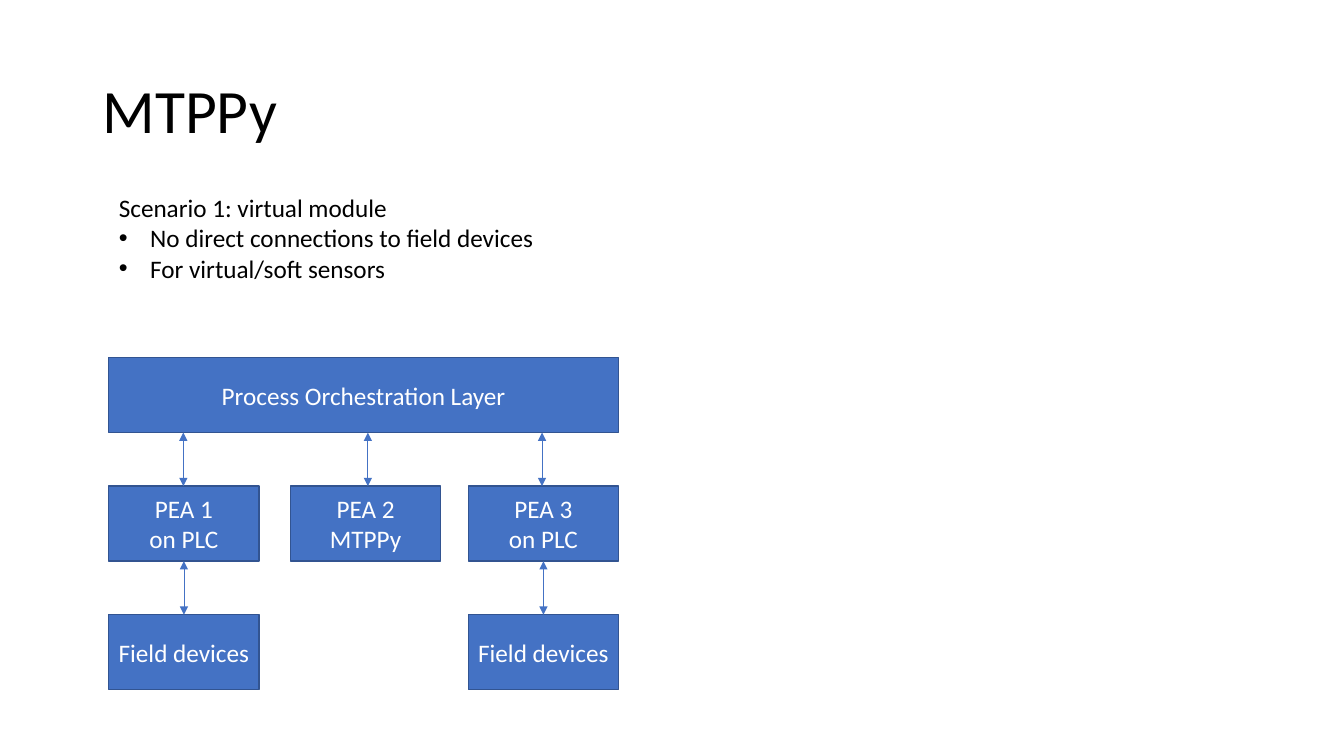
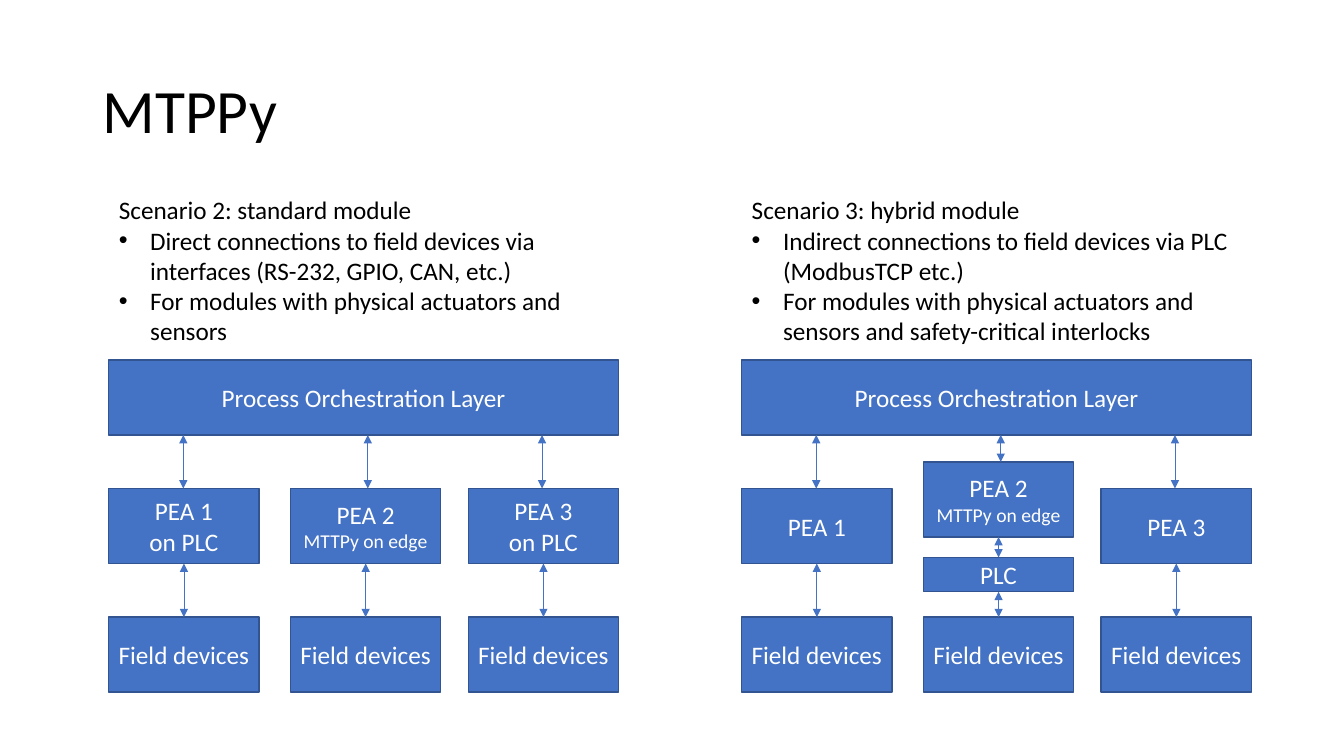
from dataclasses import dataclass

from pptx import Presentation
from pptx.dml.color import RGBColor
from pptx.enum.shapes import MSO_CONNECTOR, MSO_SHAPE
from pptx.enum.text import MSO_ANCHOR, MSO_AUTO_SIZE, PP_ALIGN
from pptx.oxml.ns import qn
from pptx.util import Cm, Pt
from lxml import etree

RECTANGLE = MSO_SHAPE.RECTANGLE
STRAIGHT = MSO_CONNECTOR.STRAIGHT
MIDDLE = MSO_ANCHOR.MIDDLE
TOP = MSO_ANCHOR.TOP
NO_FIT = MSO_AUTO_SIZE.NONE
LEFT = PP_ALIGN.LEFT
CENTER = PP_ALIGN.CENTER
TOP_SITE, BOTTOM_SITE = 0, 2
ONE_CONTENT, TWO_CONTENT = 1, 3


@dataclass(frozen=True)
class Theme:
    font: str = "Calibri"
    ink: RGBColor = RGBColor(0x00, 0x00, 0x00)
    paper: RGBColor = RGBColor(0xFF, 0xFF, 0xFF)
    accent: RGBColor = RGBColor(0x44, 0x72, 0xC4)
    outline: RGBColor = RGBColor(0x32, 0x54, 0x91)
    title_size: int = 44
    text_size: int = 18
    small_size: int = 14
    outline_width: float = 1
    arrow_width: float = 0.5


@dataclass(frozen=True)
class Node:
    lines: tuple
    offset: float
    height: float = 1.89


@dataclass(frozen=True)
class Scenario:
    heading: str
    points: tuple
    columns: tuple
    text_height: float


THEME = Theme()
PANEL_WIDTH = 12.85
PANEL_LEFTS = (2.74, 18.69)
LAYER_DROP = 4.29
NODE_WIDTH = 3.79
NODE_HEIGHT = 1.89
ROW_PITCH = 3.24
COLUMN_LEFTS = (0, 4.58, 9.06)
LAYER_ARROWS = (1.88, 6.53, 10.92)
BULLET_INDENT = 0.79

FIELD = Node(("Field devices",), 2 * ROW_PITCH)
EDGE_LINES = ("PEA 2", ("MTTPy on edge", THEME.small_size))


def pea(*lines):
    return Node(lines, ROW_PITCH)


PEA_1_ON_PLC = (pea("PEA 1", "on PLC"), FIELD)
PEA_3_ON_PLC = (pea("PEA 3", "on PLC"), FIELD)

VIRTUAL = Scenario(
    "Scenario 1: virtual module",
    ("No direct connections to field devices", "For virtual/soft sensors"),
    (PEA_1_ON_PLC, (pea("PEA 2", "MTPPy"),), PEA_3_ON_PLC),
    2.57,
)
STANDARD = Scenario(
    "Scenario 2: standard module",
    (
        "Direct connections to field devices via interfaces (RS-232, GPIO, CAN, etc.)",
        "For modules with physical actuators and sensors",
    ),
    (PEA_1_ON_PLC, (pea(*EDGE_LINES), FIELD), PEA_3_ON_PLC),
    4.11,
)
HYBRID = Scenario(
    "Scenario 3: hybrid module",
    (
        "Indirect connections to field devices via PLC (ModbusTCP etc.)",
        "For modules with physical actuators and sensors and safety-critical interlocks",
    ),
    (
        (pea("PEA 1"), FIELD),
        (Node(EDGE_LINES, 2.57), Node(("PLC",), 4.98, 0.86), FIELD),
        (pea("PEA 3"), FIELD),
    ),
    4.11,
)
PAGES = (
    (ONE_CONTENT, 4.72, (VIRTUAL,)),
    (TWO_CONTENT, 4.78, (STANDARD, HYBRID)),
)


def apply_format(target, values):
    for name, value in values.items():
        setattr(target, name, value)


def place(shape, left, top, width, height):
    values = {"left": left, "top": top, "width": width, "height": height}
    apply_format(shape, {name: Cm(value) for name, value in values.items()})


def write_lines(frame, lines, color, size, frame_format, para_format):
    apply_format(frame, {"word_wrap": True, "auto_size": NO_FIT, **frame_format})
    for index, line in enumerate(lines):
        text, line_size = line if isinstance(line, tuple) else (line, size)
        para = frame.paragraphs[0] if index == 0 else frame.add_paragraph()
        apply_format(para, para_format)
        span = para.add_run()
        span.text = text
        apply_format(span.font, {"name": THEME.font, "size": Pt(line_size)})
        span.font.color.rgb = color


def set_bullet(para, bulleted):
    indent = Cm(BULLET_INDENT) if bulleted else 0
    properties = para._p.get_or_add_pPr()
    properties.set("marL", str(indent))
    properties.set("indent", str(-indent))
    if bulleted:
        etree.SubElement(properties, qn("a:buFont")).set("typeface", "Arial")
        etree.SubElement(properties, qn("a:buChar")).set("char", "•")
    else:
        etree.SubElement(properties, qn("a:buNone"))


def add_title(page, text):
    title = page.shapes.title
    place(title, 2.33, 1.01, 29.21, 3.68)
    write_lines(
        title.text_frame, (text,), THEME.ink, THEME.title_size,
        {"vertical_anchor": MIDDLE}, {"alignment": LEFT, "line_spacing": 0.9},
    )


def fill_description(body, scenario, left, top):
    place(body, left, top, PANEL_WIDTH, scenario.text_height)
    write_lines(
        body.text_frame, (scenario.heading, *scenario.points),
        THEME.ink, THEME.text_size, {"vertical_anchor": TOP},
        {"alignment": LEFT, "space_before": Pt(0)},
    )
    for index, para in enumerate(body.text_frame.paragraphs):
        set_bullet(para, index > 0)


def add_box(page, lines, left, top, width, height):
    box = page.shapes.add_shape(
        RECTANGLE, Cm(left), Cm(top), Cm(width), Cm(height)
    )
    box.shadow.inherit = False
    box.fill.solid()
    box.fill.fore_color.rgb = THEME.accent
    box.line.color.rgb = THEME.outline
    box.line.width = Pt(THEME.outline_width)
    write_lines(
        box.text_frame, lines, THEME.paper, THEME.text_size,
        {"vertical_anchor": MIDDLE}, {"alignment": CENTER},
    )
    return box


def add_arrow(page, x, start, end):
    arrow = page.shapes.add_connector(STRAIGHT, x, start, x, end)
    arrow.line.color.rgb = THEME.accent
    arrow.line.width = Pt(THEME.arrow_width)
    properties = arrow._element.spPr
    outline = properties.find(qn("a:ln"))
    for name in ("a:headEnd", "a:tailEnd"):
        etree.SubElement(outline, qn(name)).set("type", "triangle")
    etree.SubElement(properties, qn("a:effectLst"))
    return arrow


def link_boxes(page, upper, lower):
    x = upper.left + upper.width // 2
    arrow = add_arrow(page, x, lower.top, upper.top + upper.height)
    arrow.begin_connect(lower, TOP_SITE)
    arrow.end_connect(upper, BOTTOM_SITE)


def add_diagram(page, columns, left, top):
    layer = add_box(
        page, ("Process Orchestration Layer",), left, top, PANEL_WIDTH, NODE_HEIGHT
    )
    for nodes, column_left, arrow_left in zip(columns, COLUMN_LEFTS, LAYER_ARROWS):
        boxes = [
            add_box(
                page, node.lines, left + column_left, top + node.offset,
                NODE_WIDTH, node.height,
            )
            for node in nodes
        ]
        add_arrow(
            page, Cm(left + arrow_left), boxes[0].top, layer.top + layer.height
        )
        for upper, lower in zip(boxes, boxes[1:]):
            link_boxes(page, upper, lower)


def add_page(deck, layout, top, scenarios):
    page = deck.slides.add_slide(deck.slide_layouts[layout])
    add_title(page, "MTPPy")
    bodies = list(page.placeholders)[1:]
    for body, scenario, left in zip(bodies, scenarios, PANEL_LEFTS):
        fill_description(body, scenario, left, top)
        add_diagram(page, scenario.columns, left, top + LAYER_DROP)


def main():
    deck = Presentation()
    apply_format(deck, {"slide_width": Cm(33.87), "slide_height": Cm(19.05)})
    for layout, top, scenarios in PAGES:
        add_page(deck, layout, top, scenarios)
    deck.save("out.pptx")


if __name__ == "__main__":
    main()
